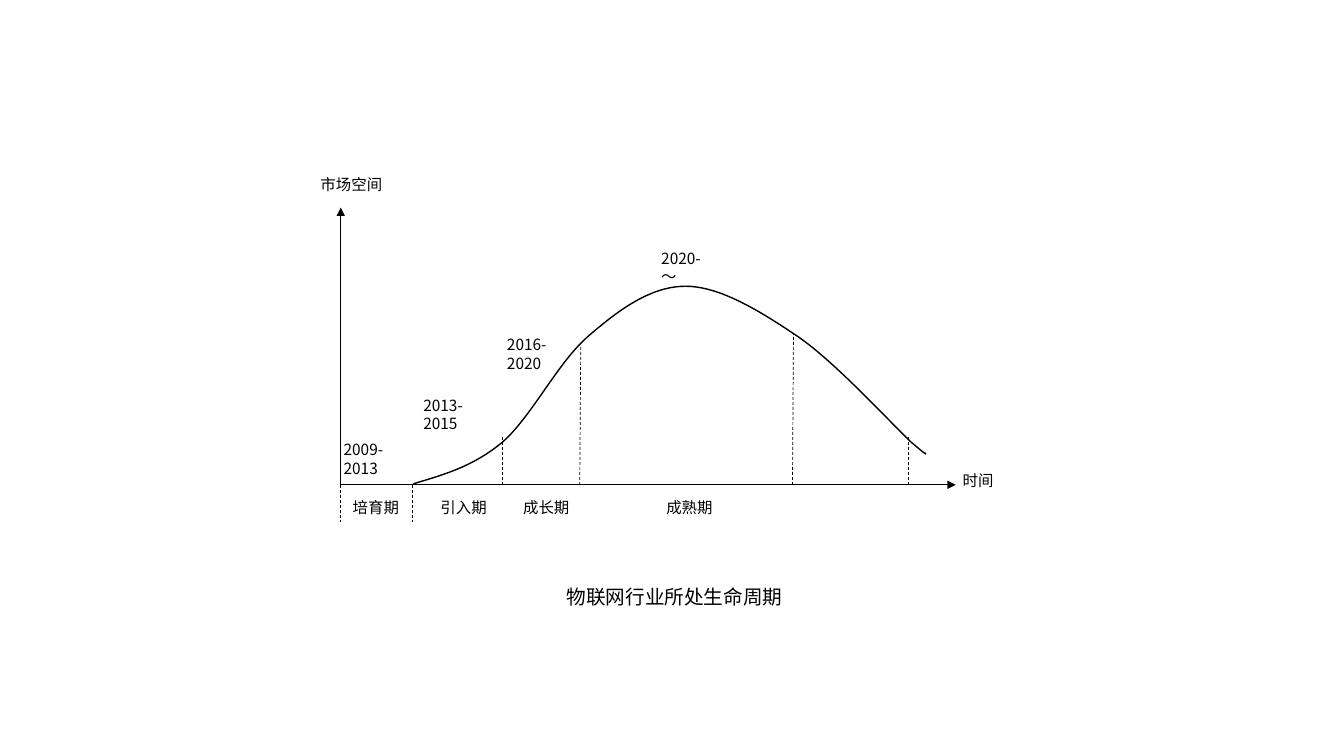
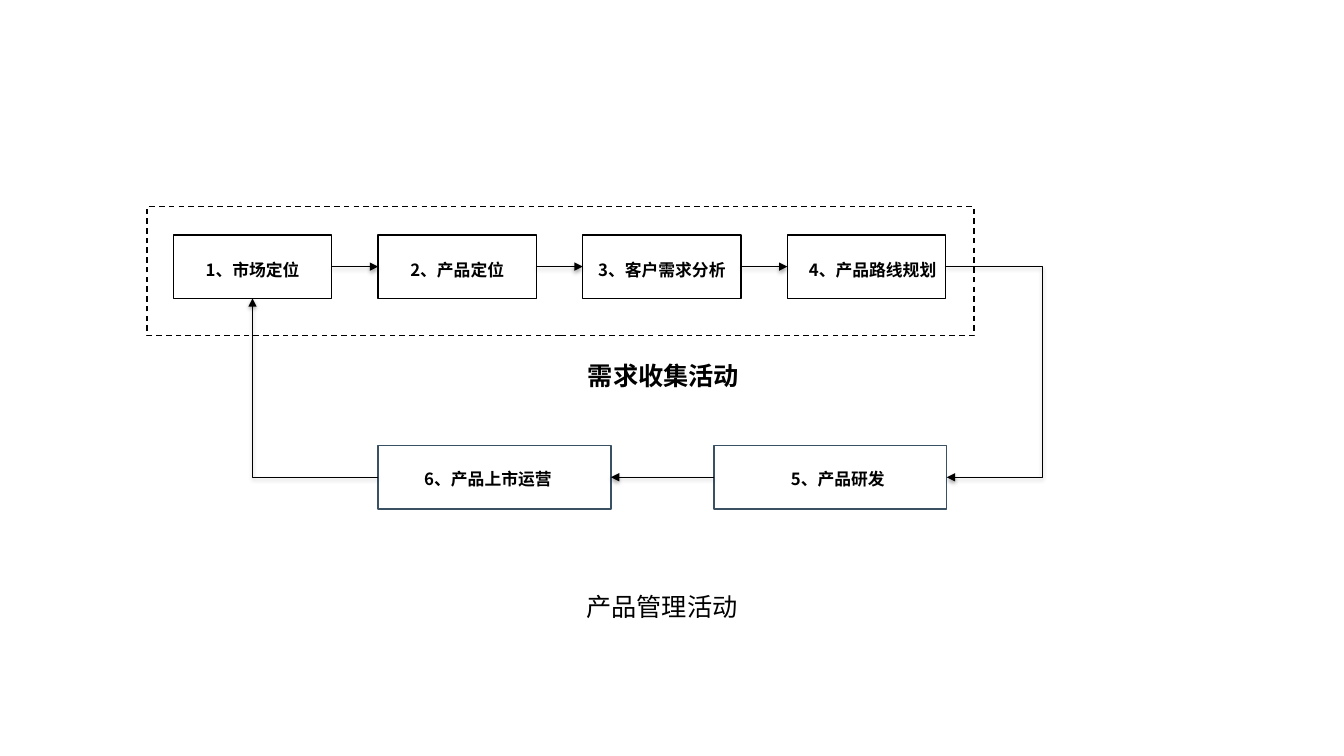
import itertools
from dataclasses import dataclass

import pptx
import pptx.dml.color
import pptx.enum.dml
import pptx.enum.shapes
import pptx.enum.text
import pptx.oxml
import pptx.oxml.ns
import pptx.util
from lxml import etree

# ---- Content: all places are (column, row) on a square grid, 75 rows high ----
LIFE_CYCLE_TITLE = ("物联网行业所处生命周期", 55.2, 57.5, 23.6)
ORIGIN = (33.8, 48.1)
AXIS_ENDS = [(33.8, 20.6), (94.8, 48.1)]
AXIS_NAMES = [("市场空间", 30.8, 16.9), ("时间", 94.5, 46.2)]
PHASES = [("培育期", 34.0), ("引入期", 42.7), ("成长期", 50.9), ("成熟期", 65.1)]
PHASE_ROW = 48.9
PERIODS = [
    ("2009-2013", 33.1, 43.2),
    ("2013-2015", 41.0, 38.8),
    ("2016-2020", 49.3, 32.8),
    ("2020-～", 64.6, 24.2),
]
# Dashed dividers: foot column, top column, end row
DIVIDERS = [
    (33.8, 33.8, 51.8),
    (40.9, 40.9, 51.8),
    (49.8, 49.8, 43.2),
    (57.5, 57.6, 34.3),
    (78.6, 78.7, 33.1),
    (90.1, 90.1, 43.2),
]
# Bezier pieces: two handles and an end point each
CURVE_START = (41.0, 48.0)
CURVE = [
    ((44.0, 47.1), (46.9, 46.3), (49.8, 43.9)),
    ((52.7, 41.4), (55.3, 36.0), (58.3, 33.4)),
    ((61.3, 30.8), (64.5, 28.4), (68.0, 28.4)),
    ((71.5, 28.4), (75.6, 31.0), (79.3, 33.5)),
    ((83.0, 36.1), (88.3, 41.9), (90.3, 43.8)),
    ((92.4, 45.6), (91.7, 44.9), (91.7, 44.9)),
]

ACTIVITY_TITLES = [("需求收集活动", 47.2, 35.8, 37.2, 2.2, True),
                   ("产品管理活动", 42.9, 58.2, 45.5, 3.4, False)]
COLLECTION_FRAME = (14.6, 20.5, 82.0, 12.8)
STEP_HEIGHT = 6.3
# Steps: text, label width, label shift from the middle of its box
UPPER_STEPS = [("1、市场定位", 10.3, 0), ("2、产品定位", 10.3, 0),
               ("3、客户需求分析", 12.8, 0), ("4、产品路线规划", 12.9, 0.6)]
LOWER_STEPS = [("6、产品上市运营", 13.0, -0.65), ("5、产品研发", 10.2, 0.75)]
# Rows of steps: steps, left, pitch, box width, box top, label middle, line colour
UPPER_ROW = (UPPER_STEPS, 17.2, 20.3, 15.7, 23.3, 26.6, "000000")
LOWER_ROW = (LOWER_STEPS, 37.5, 33.3, 23.1, 44.2, 47.35, "3A5063")
RETURN_COLUMN = 103.5


@dataclass(frozen=True)
class Theme:
    font: str = "Noto Sans CJK SC"
    ink: str = "000000"
    paper: str = "FFFFFF"
    label: float = 11
    step: float = 12
    caption: float = 14
    heading: float = 18
    thin: float = 0.5
    thick: float = 1


THEME = Theme()
DASH = pptx.enum.dml.MSO_LINE.DASH
CONNECTOR = pptx.enum.shapes.MSO_CONNECTOR
TOP, BOTTOM, LEFT, RIGHT = 0, 2, 1, 3
SHADOW = (
    '<a:outerShdw %s blurRad="38100" dist="20320" dir="5400000" rotWithShape="0">'
    '<a:srgbClr val="000000"><a:alpha val="38000"/></a:srgbClr></a:outerShdw>'
    % pptx.oxml.ns.nsdecls("a")
)


# ---- Shared helpers ----
def grid(count):
    """Length of a number of grid cells."""
    return pptx.util.Inches(count * 7.5 / 75)


def color(code):
    return pptx.dml.color.RGBColor.from_string(code)


def child(parent, tag, **attributes):
    return etree.SubElement(parent, pptx.oxml.ns.qn(tag), attributes)


def style_line(line, width, code=THEME.ink, dash=None):
    line.color.rgb = color(code)
    line.width = pptx.util.Pt(width)
    if dash:
        line.dash_style = dash


def add_text(page, text, left, top, width, height, size=THEME.label, bold=False,
             centered=False, wrap=True):
    box = page.shapes.add_textbox(*map(grid, (left, top, width, height)))
    frame = box.text_frame
    frame.word_wrap = wrap
    para = frame.paragraphs[0]
    if centered:
        frame.margin_left = frame.margin_right = frame.margin_top = frame.margin_bottom = 0
        frame.vertical_anchor = pptx.enum.text.MSO_ANCHOR.MIDDLE
        para.alignment = pptx.enum.text.PP_ALIGN.CENTER
        para.line_spacing = 1.2
    span = para.add_run()
    span.text = text
    span.font.size = pptx.util.Pt(size)
    span.font.bold = bold
    span.font.color.rgb = color(THEME.ink)
    span.font.name = THEME.font
    child(span._r.get_or_add_rPr(), "a:ea", typeface=THEME.font)


def add_box(page, place, code=THEME.ink, fill=None, dash=None):
    box = page.shapes.add_shape(pptx.enum.shapes.MSO_SHAPE.RECTANGLE, *map(grid, place))
    box.shadow.inherit = False
    if fill:
        box.fill.solid()
        box.fill.fore_color.rgb = color(fill)
    else:
        box.fill.background()
    style_line(box.line, THEME.thick, code, dash)
    return box


def finish_connector(line, arrow=False, dash=None, shadow=False):
    style_line(line.line, THEME.thin, dash=dash)
    properties = line.element.spPr
    if arrow:
        child(properties.find(pptx.oxml.ns.qn("a:ln")), "a:tailEnd", type="triangle")
    effects = child(properties, "a:effectLst")
    if shadow:
        effects.append(pptx.oxml.parse_xml(SHADOW))


def add_line(page, start, end, **style):
    line = page.shapes.add_connector(CONNECTOR.STRAIGHT, *map(grid, start + end))
    finish_connector(line, **style)


def link(page, source, source_side, target, target_side, kind=CONNECTOR.STRAIGHT,
         preset=None, bend_at=None):
    """Arrow glued to two boxes; bend_at is the column of the far bend."""
    line = page.shapes.add_connector(kind, 0, 0, 0, 0)
    line.begin_connect(source, source_side)
    line.end_connect(target, target_side)
    geometry = line.element.spPr.find(pptx.oxml.ns.qn("a:prstGeom"))
    if preset:
        geometry.set("prst", preset)
    if bend_at:
        share = (grid(bend_at) - line.begin_x) / (line.end_x - line.begin_x)
        values = geometry.find(pptx.oxml.ns.qn("a:avLst"))
        child(values, "a:gd", name="adj1", fmla=f"val {round(share * 100000)}")
    finish_connector(line, arrow=True, shadow=True)


def curve_points(start, pieces, count=20):
    for first, second, end in pieces:
        for index in range(1, count + 1):
            t = index / count
            weights = ((1 - t) ** 3, 3 * t * (1 - t) ** 2, 3 * t * t * (1 - t), t ** 3)
            yield tuple(
                grid(sum(w * p[axis] for w, p in zip(weights, (start, first, second, end))))
                for axis in (0, 1)
            )
        start = end


# ---- Slide 1: life cycle curve ----
def build_life_cycle(page):
    for end in AXIS_ENDS:
        add_line(page, ORIGIN, end, arrow=True)
    for foot, top, row in DIVIDERS:
        add_line(page, (foot, ORIGIN[1]), (top, row), dash=DASH)

    outline = page.shapes.build_freeform(*map(grid, CURVE_START))
    outline.add_line_segments(list(curve_points(CURVE_START, CURVE)), close=False)
    curve = outline.convert_to_shape()
    curve.shadow.inherit = False
    curve.fill.background()
    style_line(curve.line, THEME.thick)

    labels = AXIS_NAMES + [(text, left, PHASE_ROW) for text, left in PHASES]
    for text, left, top in labels:
        add_text(page, text, left, top, 2 + 1.55 * len(text), 2.9, wrap=False)
    for text, left, top in PERIODS:
        add_text(page, text, left, top, 7, 2.9)
    text, left, top, width = LIFE_CYCLE_TITLE
    add_text(page, text, left, top, width, 3.4, size=THEME.caption, wrap=False)


# ---- Slide 2: product management loop ----
def add_steps(page, steps, left, pitch, width, top, middle, code):
    boxes = []
    for index, (text, label_width, shift) in enumerate(steps):
        box_left = left + index * pitch
        boxes.append(add_box(page, (box_left, top, width, STEP_HEIGHT), code))
        label_left = box_left + (width - label_width) / 2 + shift
        add_text(page, text, label_left, middle - 1.15, label_width, 2.3,
                 size=THEME.step, bold=True, centered=True)
    return boxes


def build_activities(page):
    add_box(page, COLLECTION_FRAME, fill=THEME.paper, dash=DASH)
    upper = add_steps(page, *UPPER_ROW)
    launch, development = add_steps(page, *LOWER_ROW)

    for source, target in itertools.pairwise(upper):
        link(page, source, RIGHT, target, LEFT)
    link(page, upper[-1], RIGHT, development, RIGHT, CONNECTOR.ELBOW, bend_at=RETURN_COLUMN)
    link(page, development, LEFT, launch, RIGHT)
    link(page, launch, LEFT, upper[0], BOTTOM, CONNECTOR.ELBOW, preset="bentConnector2")

    for text, left, top, width, height, bold in ACTIVITY_TITLES:
        add_text(page, text, left, top, width, height, size=THEME.heading,
                 bold=bold, centered=True)


def main():
    deck = pptx.Presentation()
    deck.slide_width = pptx.util.Inches(13.33)
    deck.slide_height = pptx.util.Inches(7.5)
    for build in (build_life_cycle, build_activities):
        build(deck.slides.add_slide(deck.slide_layouts[6]))
    deck.save("out.pptx")


if __name__ == "__main__":
    main()
